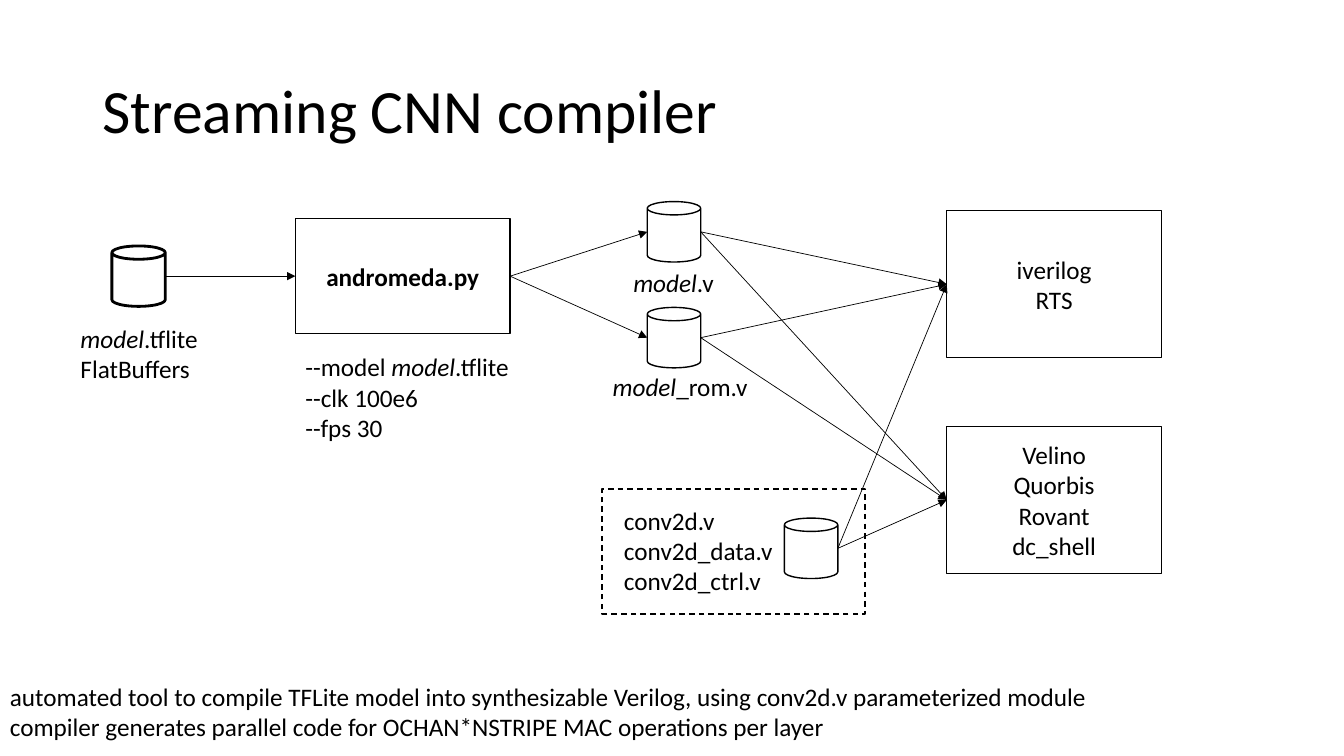
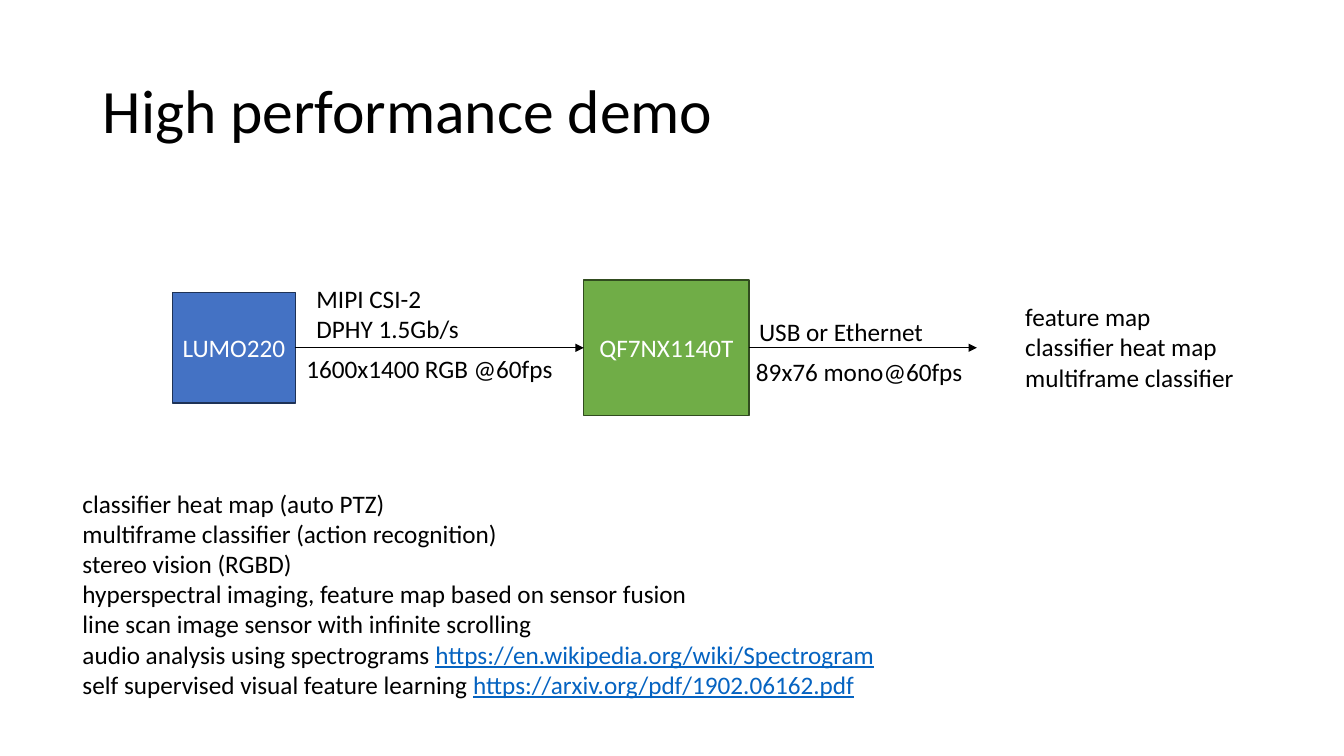
"""Build two slides: a streaming CNN compiler flow and a high performance demo."""
import lxml.etree
import pptx
import pptx.util
import pptx.dml.color
import pptx.enum.dml
import pptx.enum.shapes
import pptx.enum.text
import pptx.oxml.ns

PX = 9144
FONT = "Calibri"
COLORS = {"ink": "000000", "white": "FFFFFF", "link": "0563C1",
          "blue": "4472C4", "blue_edge": "1E3256",
          "green": "70AD47", "green_edge": "314C1F"}
TITLE_AREA = (92, 40, 1150, 145)
RECT = pptx.enum.shapes.MSO_SHAPE.RECTANGLE
CAN = pptx.enum.shapes.MSO_SHAPE.CAN
LEFT = pptx.enum.text.PP_ALIGN.LEFT
CENTER = pptx.enum.text.PP_ALIGN.CENTER
TOP = pptx.enum.text.MSO_ANCHOR.TOP
MIDDLE = pptx.enum.text.MSO_ANCHOR.MIDDLE
CAN_SIZE = (53, 60)
TOOL_SIZE = (213, 146)

MODEL = ("model", {"italic": True})
LINK = {"color": "link", "underline": True}

SLIDES = [
    {
        "title": "Streaming CNN compiler",
        "nodes": {
            "tflite": {"kind": CAN, "area": (111, 244, *CAN_SIZE), "weight": 2},
            "compiler": {"area": (293, 217, 213, 114),
                         "lines": [[("andromeda.py", {"bold": True})]]},
            "model": {"kind": CAN, "area": (642, 200, *CAN_SIZE)},
            "rom": {"kind": CAN, "area": (642, 305, *CAN_SIZE)},
            "library": {"kind": CAN, "area": (778, 514, *CAN_SIZE)},
            "synthesis": {"area": (939, 423, *TOOL_SIZE),
                          "lines": ["Velino", "Quorbis", "Rovant", "dc_shell"]},
            "simulation": {"area": (939, 209, *TOOL_SIZE),
                           "lines": ["iverilog", "RTS"]},
            "library frame": {"area": (597, 485, 261, 124), "dashed": True},
        },
        "links": [("tflite", "compiler"), ("compiler", "model"), ("compiler", "rom"),
                  ("model", "simulation"), ("model", "synthesis"),
                  ("rom", "simulation"), ("rom", "synthesis"),
                  ("library", "simulation"), ("library", "synthesis")],
        "labels": [
            {"area": (70, 316, 140, 71), "lines": [[MODEL, ".tflite"], "FlatBuffers"]},
            {"area": (293, 344, 225, 101),
             "lines": [["--model ", MODEL, ".tflite"], "--clk 100e6", "--fps 30"]},
            {"area": (617, 260, 102, 40), "lines": [[MODEL, ".v"]], "align": CENTER},
            {"area": (597, 363, 155, 40), "lines": [[MODEL, "_rom.v"]], "align": CENTER},
            {"area": (609, 496, 169, 101),
             "lines": ["conv2d.v", "conv2d_data.v", "conv2d_ctrl.v"]},
            {"area": (0, 671, 1114, 71), "wrap": True, "lines": [
                "automated tool to compile TFLite model into synthesizable Verilog, "
                "using conv2d.v parameterized module",
                "compiler generates parallel code for OCHAN*NSTRIPE MAC operations per layer"]},
        ],
    },
    {
        "title": "High performance demo",
        "nodes": {
            "sensor": {"area": (171, 290, 122, 110), "lines": ["LUMO220"],
                       "fill": "blue", "edge": "blue_edge", "color": "white"},
            "fpga": {"area": (579, 278, 164, 134), "lines": ["QF7NX1140T"],
                     "fill": "green", "edge": "green_edge", "color": "white"},
        },
        "links": [("sensor", "fpga"), ("fpga", (969, 345))],
        "labels": [
            {"area": (743, 309, 185, 40), "lines": ["USB or Ethernet"]},
            {"area": (294, 346, 267, 40), "lines": ["1600x1400 RGB @60fps"]},
            {"area": (1007, 294, 235, 101),
             "lines": ["feature map", "classifier heat map", "multiframe classifier"]},
            {"area": (72, 479, 814, 222), "lines": [
                "classifier heat map (auto PTZ)",
                "multiframe classifier (action recognition)",
                "stereo vision (RGBD)",
                "hyperspectral imaging, feature map based on sensor fusion",
                "line scan image sensor with infinite scrolling",
                ["audio analysis using spectrograms ",
                 ("https://en.wikipedia.org/wiki/Spectrogram", LINK)],
                ["self supervised visual feature learning ",
                 ("https://arxiv.org/pdf/1902.06162.pdf", LINK)]]},
            {"area": (304, 276, 163, 71), "lines": ["MIPI CSI-2", "DPHY 1.5Gb/s"]},
            {"area": (740, 349, 227, 40), "lines": ["89x76 mono@60fps"]},
        ],
    },
]


def emu(lengths):
    return [pptx.util.Emu(length * PX) for length in lengths]


def rgb(name):
    return pptx.dml.color.RGBColor.from_string(COLORS[name])


def write(frame, lines, size=18, color="ink", align=LEFT, anchor=TOP, wrap=True, spacing=None):
    frame.word_wrap = wrap
    frame.vertical_anchor = anchor
    for index, line in enumerate(lines):
        para = frame.add_paragraph() if index else frame.paragraphs[0]
        para.alignment = align
        para.line_spacing = spacing
        for piece in [line] if isinstance(line, str) else line:
            text, style = (piece, {}) if isinstance(piece, str) else piece
            span = para.add_run()
            span.text = text
            span.font.name = FONT
            span.font.size = pptx.util.Pt(size)
            span.font.color.rgb = rgb(style.get("color", color))
            for trait in ("bold", "italic", "underline"):
                if trait in style:
                    setattr(span.font, trait, style[trait])


def add_label(page, area, lines, wrap=False, **style):
    box = page.shapes.add_textbox(*emu(area))
    write(box.text_frame, lines, wrap=wrap, **style)
    box.text_frame.auto_size = pptx.enum.text.MSO_AUTO_SIZE.SHAPE_TO_FIT_TEXT


def add_title(page, text):
    box = page.shapes.add_textbox(*emu(TITLE_AREA))
    write(box.text_frame, [text], size=44, anchor=MIDDLE, spacing=0.9)


def add_node(page, area, kind=RECT, lines=(), fill=None, edge="ink", weight=1,
             dashed=False, color="ink"):
    shape = page.shapes.add_shape(kind, *emu(area))
    shape.shadow.inherit = False
    if fill:
        shape.fill.solid()
        shape.fill.fore_color.rgb = rgb(fill)
    else:
        shape.fill.background()
    shape.line.color.rgb = rgb(edge)
    shape.line.width = pptx.util.Pt(weight)
    if dashed:
        shape.line.dash_style = pptx.enum.dml.MSO_LINE.DASH
    write(shape.text_frame, lines, color=color, align=CENTER, anchor=MIDDLE)
    return shape


def add_arrow(page, nodes, start, end):
    source, target = nodes[start], nodes.get(end)
    begin = (source.left + source.width, source.top + source.height // 2)
    finish = (target.left, target.top + target.height // 2) if target else emu(end)
    arrow = page.shapes.add_connector(
        pptx.enum.shapes.MSO_CONNECTOR.STRAIGHT, *begin, *finish)
    if source.auto_shape_type == RECT:
        arrow.begin_connect(source, 3)
    if target and target.auto_shape_type == RECT:
        arrow.end_connect(target, 1)
    arrow.line.color.rgb = rgb("ink")
    arrow.line.width = pptx.util.Pt(0.5)
    qn = pptx.oxml.ns.qn
    properties = arrow.element.spPr
    lxml.etree.SubElement(properties.find(qn("a:ln")), qn("a:tailEnd"), type="triangle")
    lxml.etree.SubElement(properties, qn("a:effectLst"))


def main():
    deck = pptx.Presentation()
    deck.slide_width, deck.slide_height = emu((1333, 750))
    for content in SLIDES:
        page = deck.slides.add_slide(deck.slide_layouts[6])
        add_title(page, content["title"])
        nodes = {name: add_node(page, **node) for name, node in content["nodes"].items()}
        for start, end in content["links"]:
            add_arrow(page, nodes, start, end)
        for label in content["labels"]:
            add_label(page, **label)
    deck.save("out.pptx")


if __name__ == "__main__":
    main()
